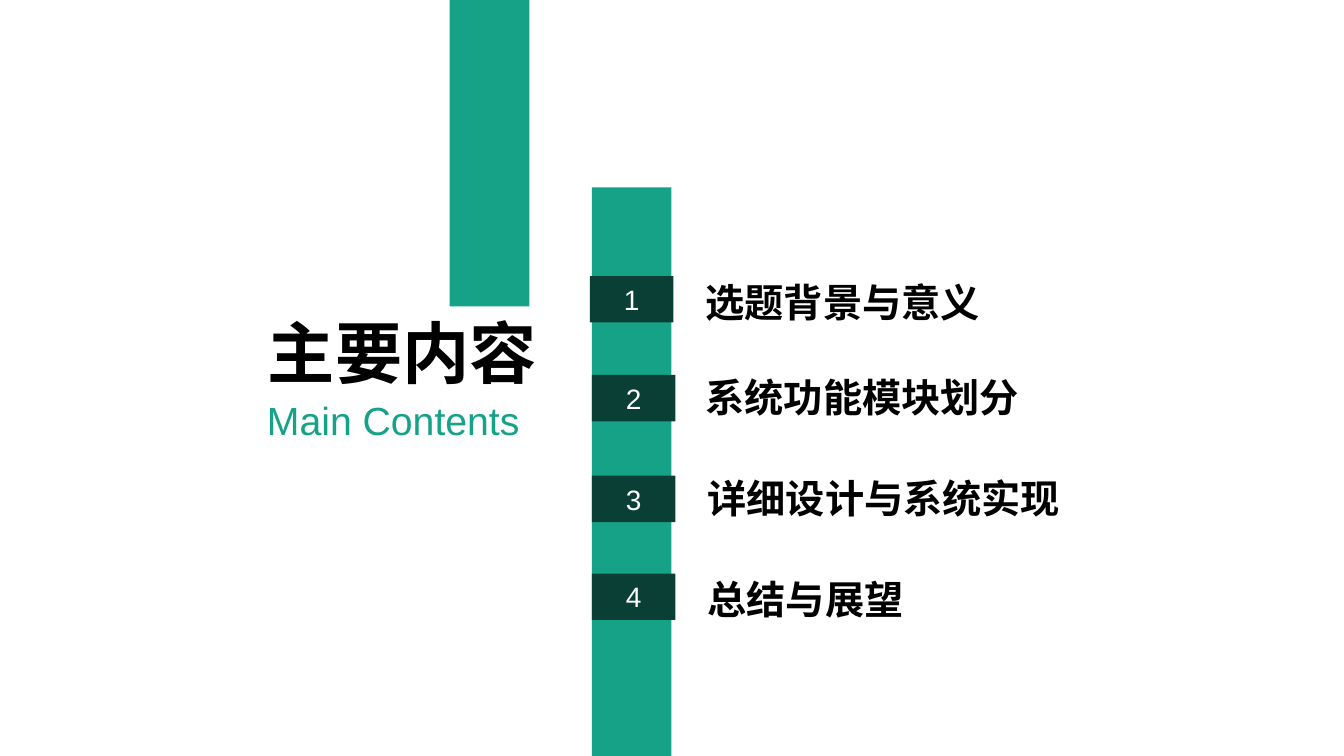
import pptx
import pptx.util
import pptx.dml.color
import pptx.enum.shapes
import pptx.enum.text
import pptx.oxml
import pptx.oxml.ns

Inches = pptx.util.Inches
Align = pptx.enum.text.PP_ALIGN
Anchor = pptx.enum.text.MSO_ANCHOR

GREEN = pptx.dml.color.RGBColor(0x16, 0xA2, 0x87)
DARK_GREEN = pptx.dml.color.RGBColor(0x09, 0x3F, 0x35)
BLACK = pptx.dml.color.RGBColor(0, 0, 0)
WHITE = pptx.dml.color.RGBColor(0xFF, 0xFF, 0xFF)
LATIN_FONT = "Arial"
CHINESE_FONT = "Noto Sans CJK SC"

# Heading, then the left and top of its badge and of its text within the agenda
AGENDA = [
    ("选题背景与意义", (0, 0.88), (1.05, 0.85)),
    ("系统功能模块划分", (0.02, 1.86), (1.05, 1.79)),
    ("详细设计与系统实现", (0.02, 2.86), (1.07, 2.8)),
    ("总结与展望", (0.02, 3.83), (1.07, 3.8)),
]


def write_text(shape, text, size, color, font=LATIN_FONT, bold=False,
               align=Align.LEFT, anchor=Anchor.TOP):
    frame = shape.text_frame
    frame.word_wrap = True
    frame.auto_size = pptx.enum.text.MSO_AUTO_SIZE.NONE
    frame.vertical_anchor = anchor
    para = frame.paragraphs[0]
    para.alignment = align
    para.line_spacing = 1.0
    span = para.add_run()
    span.text = text
    span.font.size = pptx.util.Pt(size)
    span.font.bold = bold
    span.font.color.rgb = color
    span.font.name = font
    # East Asian characters take their own typeface element
    east_asian = pptx.oxml.parse_xml(
        f'<a:ea {pptx.oxml.ns.nsdecls("a")} typeface="{font}"/>')
    span.font._element.find(pptx.oxml.ns.qn("a:latin")).addnext(east_asian)


def add_bar(page, left, top, width, height, color):
    bar = page.shapes.add_shape(
        pptx.enum.shapes.MSO_SHAPE.RECTANGLE,
        Inches(left), Inches(top), Inches(width), Inches(height))
    bar.shadow.inherit = False
    bar.fill.solid()
    bar.fill.fore_color.rgb = color
    bar.line.fill.background()
    return bar


def add_heading(page, left, top):
    # Hanging bar above the title
    add_bar(page, left + 2.61, top, 0.79, 3.04, GREEN)

    # Title
    title = page.shapes.title
    title.left, title.top = Inches(left + 0.59), Inches(top + 3.04)
    title.width, title.height = Inches(3.1), Inches(0.91)
    write_text(title, "主要内容", 48, BLACK, font=CHINESE_FONT, bold=True,
               align=Align.CENTER)

    # Subtitle
    subtitle = page.shapes.add_textbox(
        Inches(left), Inches(top + 3.88), Inches(3.4), Inches(0.57))
    write_text(subtitle, "Main Contents", 28, GREEN, align=Align.RIGHT)


def add_agenda(page, left, top, height):
    # Rising bar behind the numbers
    add_bar(page, left + 0.02, top, 0.79, height, GREEN)

    # Numbered badges with their headings
    for number, (heading, badge_at, text_at) in enumerate(AGENDA, start=1):
        badge = add_bar(page, left + badge_at[0], top + badge_at[1],
                        0.83, 0.46, DARK_GREEN)
        write_text(badge, str(number), 20, WHITE, align=Align.CENTER,
                   anchor=Anchor.MIDDLE)
        box = page.shapes.add_textbox(
            Inches(left + text_at[0]), Inches(top + text_at[1]),
            Inches(4.46), Inches(0.57))
        write_text(box, heading, 28, BLACK, font=CHINESE_FONT, bold=True)


def main():
    deck = pptx.Presentation()
    deck.slide_width, deck.slide_height = Inches(13.33), Inches(7.5)
    page = deck.slides.add_slide(deck.slide_layouts.get_by_name("Title Only"))
    add_heading(page, left=1.85, top=0)
    add_agenda(page, left=5.85, top=1.86, height=5.64)
    deck.save("out.pptx")


if __name__ == "__main__":
    main()
